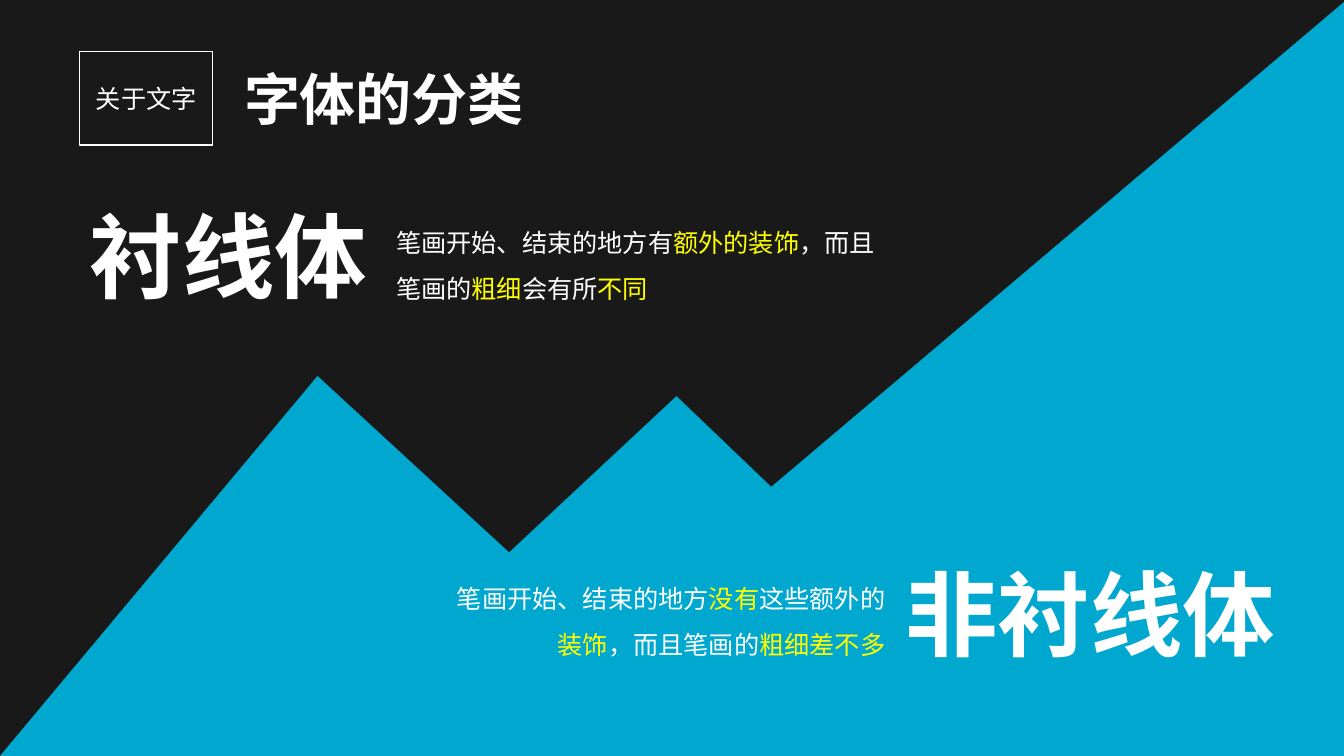
import pptx
import pptx.dml.color
import pptx.enum.shapes
import pptx.enum.text
import pptx.oxml.ns
import pptx.util
import lxml.etree

Inches = pptx.util.Inches
ALIGN = pptx.enum.text.PP_ALIGN
ANCHOR = pptx.enum.text.MSO_ANCHOR
RECTANGLE = pptx.enum.shapes.MSO_SHAPE.RECTANGLE

SLIDE_WIDTH, SLIDE_HEIGHT = 13.33, 7.5
FONT = "Noto Sans CJK SC"
DARK, BLUE, WHITE, YELLOW = "191919", "00A8D0", "FFFFFF", "FFFF00"


def color(hex_value):
    return pptx.dml.color.RGBColor.from_string(hex_value)


def add_run(paragraph, text, size, hex_value=WHITE, bold=False):
    run = paragraph.add_run()
    run.text = text
    run.font.size = pptx.util.Pt(size)
    run.font.name = FONT
    run.font.bold = bold
    run.font.color.rgb = color(hex_value)
    # East Asian typeface for the Chinese characters
    east_asian = lxml.etree.SubElement(
        run.font._element, pptx.oxml.ns.qn("a:ea"))
    east_asian.set("typeface", FONT)


def place(part, left, top, width, height):
    part.left, part.top = Inches(left), Inches(top)
    part.width, part.height = Inches(width), Inches(height)


def first_paragraph(part, align, wrap, anchor=ANCHOR.TOP):
    frame = part.text_frame
    frame.word_wrap = wrap
    frame.auto_size = pptx.enum.text.MSO_AUTO_SIZE.NONE
    frame.vertical_anchor = anchor
    frame.paragraphs[0].alignment = align
    return frame.paragraphs[0]


def add_backdrop(slide, width, height):
    # Dark field
    field = slide.shapes.add_shape(RECTANGLE, 0, 0, Inches(width), Inches(height))
    field.shadow.inherit = False
    field.fill.solid()
    field.fill.fore_color.rgb = color(DARK)
    field.line.fill.background()

    # Blue mountain ridge
    ridge = [(3.15, 3.73), (5.05, 5.48), (6.71, 3.93), (7.65, 4.83),
             (width, 0.02), (width, height)]
    builder = slide.shapes.build_freeform(0, Inches(height))
    builder.add_line_segments([(Inches(x), Inches(y)) for x, y in ridge])
    mountains = builder.convert_to_shape()
    mountains.shadow.inherit = False
    mountains.fill.solid()
    mountains.fill.fore_color.rgb = color(BLUE)
    mountains.line.fill.background()


def add_header(slide, left, top, topic, heading):
    # Framed topic label
    label = slide.shapes.add_shape(
        RECTANGLE, Inches(left), Inches(top), Inches(1.32), Inches(0.93))
    label.shadow.inherit = False
    label.fill.background()
    label.line.color.rgb = color(WHITE)
    label.line.width = pptx.util.Pt(1)
    add_run(first_paragraph(label, ALIGN.CENTER, False, ANCHOR.MIDDLE), topic, 18)

    # Slide title
    title = slide.shapes.title
    place(title, left + 1.53, top + 0.08, 3.01, 0.77)
    add_run(first_paragraph(title, ALIGN.LEFT, False), heading, 40, bold=True)


def add_category(slide, name, name_box, description, description_box, align):
    # Category name
    name_part = slide.shapes.add_textbox(*map(Inches, name_box))
    add_run(first_paragraph(name_part, ALIGN.LEFT, False), name, 66, bold=True)

    # Description, with its key words highlighted
    description_part = slide.shapes.add_textbox(*map(Inches, description_box))
    paragraph = first_paragraph(description_part, align, True)
    paragraph.line_spacing = 1.5
    for index, words in enumerate(description):
        add_run(paragraph, words, 18, YELLOW if index % 2 else WHITE)


def main():
    deck = pptx.Presentation()
    deck.slide_width, deck.slide_height = Inches(SLIDE_WIDTH), Inches(SLIDE_HEIGHT)
    slide = deck.slides.add_slide(deck.slide_layouts[5])

    add_backdrop(slide, SLIDE_WIDTH, SLIDE_HEIGHT)
    # Bring the title in front of the backdrop
    slide.shapes._spTree.append(slide.shapes.title._element)
    add_header(slide, 0.79, 0.51, "关于文字", "字体的分类")

    # Plain and highlighted words alternate
    add_category(
        slide, "衬线体", (0.79, 1.93, 2.99, 1.21),
        ["笔画开始、结束的地方有", "额外的装饰", "，而且笔画的", "粗细",
         "会有所", "不同"],
        (3.83, 2.06, 5.06, 0.96), ALIGN.LEFT)
    add_category(
        slide, "非衬线体", (8.88, 5.48, 3.9, 1.21),
        ["笔画开始、结束的地方", "没有", "这些额外的", "装饰",
         "，而且笔画的", "粗细差不多"],
        (4.24, 5.59, 4.64, 0.96), ALIGN.RIGHT)
    deck.save("out.pptx")


if __name__ == "__main__":
    main()
